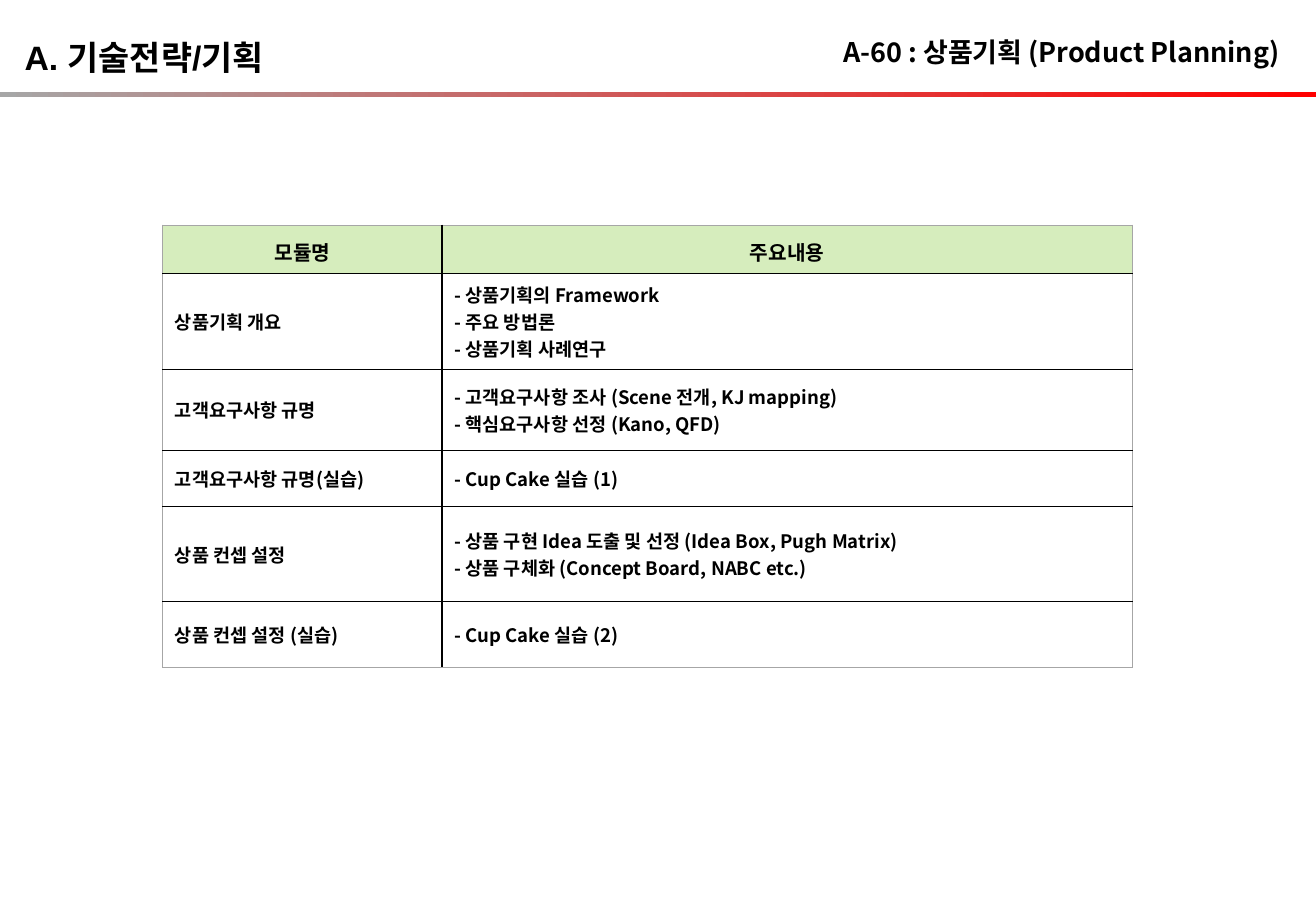
"""Build the product planning module slide."""
from lxml import etree
from pptx import Presentation
from pptx.dml.color import RGBColor
from pptx.enum.shapes import MSO_SHAPE
from pptx.enum.text import MSO_ANCHOR, PP_ALIGN
from pptx.oxml.ns import qn
from pptx.util import Pt

RECT = MSO_SHAPE.RECTANGLE
MIDDLE, TOP = MSO_ANCHOR.MIDDLE, MSO_ANCHOR.TOP
LEFT, CENTER, RIGHT = PP_ALIGN.LEFT, PP_ALIGN.CENTER, PP_ALIGN.RIGHT
FONT = "Noto Sans CJK KR"
BLACK, GREY, RED, GREEN = "000000", "A6A6A6", "FF0000", "D6EDBD"


def rgb(color):
    return RGBColor.from_string(color)


def write(tf, text, size=11, font=FONT, align=LEFT, spacing=1.0):
    for i, line in enumerate(text.split("\n")):
        p = tf.paragraphs[0] if i == 0 else tf.add_paragraph()
        p.alignment, p.line_spacing = align, spacing
        r = p.add_run()
        r.text = line
        r.font.size, r.font.bold, r.font.name = Pt(size), True, font
        r.font.color.rgb = rgb(BLACK)
        etree.SubElement(r.font._element, qn("a:ea"), typeface=FONT)


prs = Presentation()
prs.slide_width, prs.slide_height = Pt(780), Pt(540)
s = prs.slides.add_slide(prs.slide_layouts[5])

bar = s.shapes.add_shape(RECT, Pt(0), Pt(54.6), Pt(780), Pt(3))
bar.shadow.inherit = False
bar.line.fill.background()
bar.fill.gradient()
bar.fill.gradient_angle = 0
for stop, color in zip(bar.fill.gradient_stops, (GREY, RED)):
    stop.color.rgb = rgb(color)

title = s.shapes.title
title.left, title.top, title.width, title.height = Pt(445), Pt(17.3), Pt(320.5), Pt(26.6)
title.text_frame.word_wrap = True
title.text_frame.vertical_anchor = MIDDLE
write(title.text_frame, "A-60 : 상품기획 (Product Planning)", size=16, align=RIGHT)

section = s.shapes.add_textbox(Pt(7.5), Pt(18), Pt(177), Pt(31.5))
section.text_frame.word_wrap = False
section.text_frame.vertical_anchor = TOP
write(section.text_frame, "A. 기술전략/기획", size=20, font="Arial")

modules = [
    (28.8, "모듈명", "주요내용"),
    (56.8, "상품기획 개요", "- 상품기획의 Framework\n- 주요 방법론\n- 상품기획 사례연구"),
    (48, "고객요구사항 규명",
     "- 고객요구사항 조사 (Scene 전개, KJ mapping)\n- 핵심요구사항 선정 (Kano, QFD)"),
    (33.4, "고객요구사항 규명(실습)", "- Cup Cake 실습 (1)"),
    (56.2, "상품 컨셉 설정",
     "- 상품 구현 Idea 도출 및 선정 (Idea Box, Pugh Matrix)\n"
     "- 상품 구체화 (Concept Board, NABC etc.)"),
    (39, "상품 컨셉 설정 (실습)", "- Cup Cake 실습 (2)"),
]
widths = (165.6, 409)
last_row, last_col = len(modules) - 1, len(widths) - 1
frame = s.shapes.add_table(len(modules), len(widths), Pt(96.5), Pt(133.3),
                           Pt(sum(widths)), Pt(sum(m[0] for m in modules)))
table = frame.table
table.first_row = table.horz_banding = False
for col, width in zip(table.columns, widths):
    col.width = Pt(width)

for i, (height, *texts) in enumerate(modules):
    table.rows[i].height = Pt(height)
    for j, text in enumerate(texts):
        cell = table.cell(i, j)
        cell.vertical_anchor = MIDDLE
        cell.margin_left = cell.margin_right = Pt(7.2)
        cell.margin_top = cell.margin_bottom = Pt(3.6)
        outer = {"L": j == 0, "R": j == last_col, "T": i == 0, "B": i == last_row}
        for side, is_outer in outer.items():
            ln = etree.SubElement(cell._tc.get_or_add_tcPr(), qn(f"a:ln{side}"),
                                  w=str(Pt(0.5 if is_outer else 1)))
            fill = etree.SubElement(ln, qn("a:solidFill"))
            etree.SubElement(fill, qn("a:srgbClr"), val=GREY if is_outer else BLACK)
        if i == 0:
            cell.fill.solid()
            cell.fill.fore_color.rgb = rgb(GREEN)
            write(cell.text_frame, text, size=12, align=CENTER, spacing=1.2)
        else:
            cell.fill.background()
            write(cell.text_frame, text)

prs.save("out.pptx")
